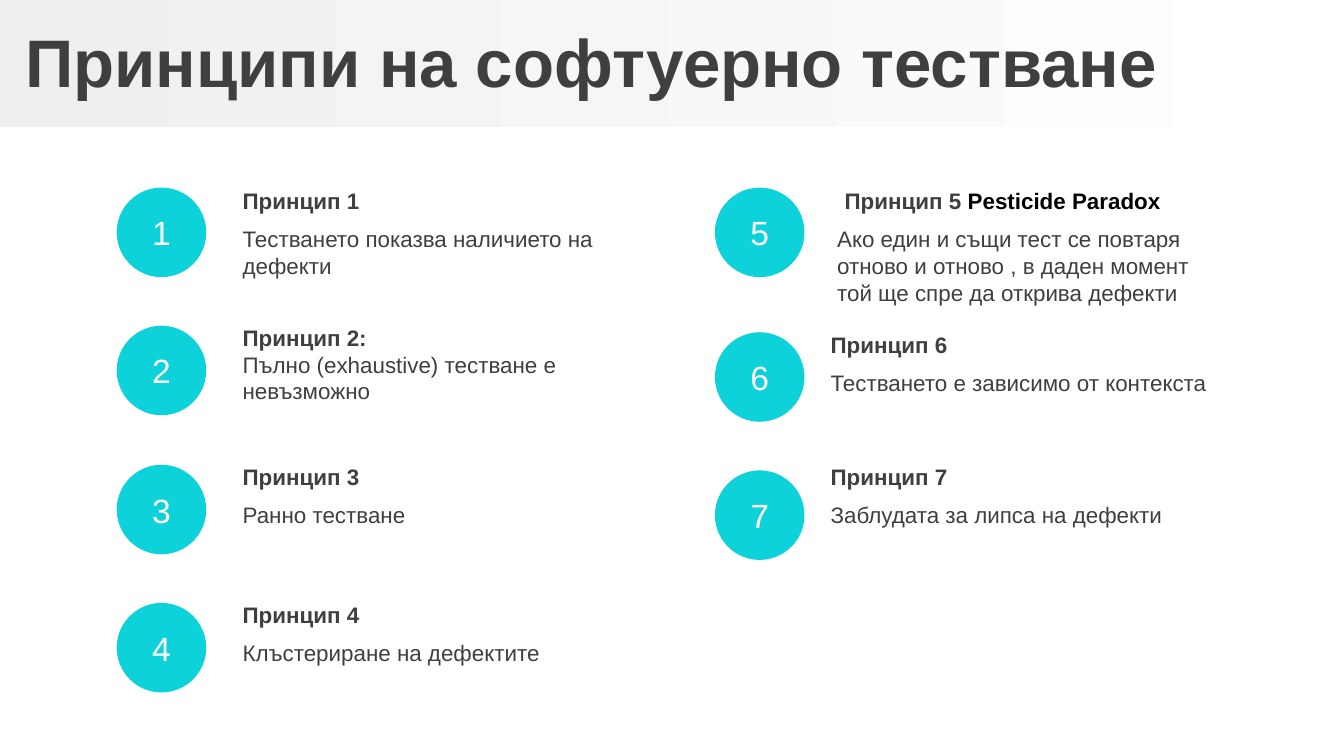
from pptx import Presentation
from pptx.dml.color import RGBColor as RGB
from pptx.enum.shapes import MSO_SHAPE as SHAPE
from pptx.enum.text import MSO_ANCHOR as ANCHOR, PP_ALIGN as ALIGN
from pptx.util import Emu, Pt

PX = 6350
COLORS = {"band": "EFEFEF", "white": "FFFFFF", "text": "3F3F3F",
          "circle": "0DD2D9", "black": "000000"}


def style(tf, size, color, bold=False):
    tf.word_wrap = True
    tf.margin_left = tf.margin_right = tf.margin_top = tf.margin_bottom = Emu(7 * PX)
    for p in tf.paragraphs:
        for r in p.runs:
            r.font.name = "Arial"
            r.font.size = Pt(size)
            r.font.bold = bold
            r.font.color.rgb = RGB.from_string(COLORS[color])


def add_text(x, y, w, h, text, size=12, color="text", bold=False):
    box = s.shapes.add_textbox(x * PX, y * PX, w * PX, h * PX)
    box.text_frame.text = text
    style(box.text_frame, size, color, bold)
    return box.text_frame


prs = Presentation()
prs.slide_width, prs.slide_height = Emu(1440 * PX), Emu(810 * PX)
s = prs.slides.add_slide(prs.slide_layouts[5])

band = s.shapes.add_shape(SHAPE.RECTANGLE, 0, 0, 1434 * PX, 136 * PX)
band.shadow.inherit = False
band.line.fill.background()
band.fill.gradient()
band.fill.gradient_angle = 0
for stop, name in zip(band.fill.gradient_stops, ("band", "white")):
    stop.color.rgb = RGB.from_string(COLORS[name])

title = s.shapes.title
title._element.addprevious(band._element)
title.left, title.top = Emu(0), Emu(4 * PX)
title.width, title.height = Emu(1440 * PX), Emu(122 * PX)
tf = title.text_frame
tf.text = " Принципи на софтуерно тестване"
tf.vertical_anchor = ANCHOR.MIDDLE
tf.paragraphs[0].alignment = ALIGN.LEFT
style(tf, 36, "text", True)

circles = [(125, 201 + 297 * i // 2) for i in range(4)]
circles += [(766, y) for y in (201, 356, 504)]
for number, (x, y) in enumerate(circles, 1):
    sp = s.shapes.add_shape(SHAPE.OVAL, x * PX, y * PX, 96 * PX, 96 * PX)
    sp.shadow.inherit = False
    sp.fill.solid()
    sp.fill.fore_color.rgb = RGB.from_string(COLORS["circle"])
    sp.line.fill.background()
    tf = add_text(x + 21, y + 21, 54, 54, str(number), 18, "white")
    tf.vertical_anchor = ANCHOR.MIDDLE
    tf.paragraphs[0].alignment = ALIGN.CENTER

principles = [
    (253, 193, 69, "Принцип 1", "Тестването показва наличието на дефекти"),
    (253, 489, 42, "Принцип 3", "Ранно тестване"),
    (253, 637, 42, "Принцип 4", "Клъстериране на дефектите"),
    (883, 348, 42, "Принцип 6", "Тестването е зависимо от контекста"),
    (883, 489, 42, "Принцип 7", "Заблудата за липса на дефекти"),
]
for x, y, h, heading, body in principles:
    add_text(x, y + 41, 432, h, body)
    add_text(x, y, 432, 42, heading, bold=True)

tf = add_text(253, 340, 432, 98, "Принцип 2:\nПълно (exhaustive) тестване е невъзможно")
tf.paragraphs[0].runs[0].font.bold = True

add_text(890, 234, 432, 98, "Ако един и същи тест се повтаря отново и отново , "
                            "в даден момент той ще спре да открива дефекти")
tf = add_text(898, 193, 432, 69, "Принцип 5 ", bold=True)
r = tf.paragraphs[0].add_run()
r.text = "Pesticide Paradox"
style(tf, 12, "text", True)
r.font.color.rgb = RGB.from_string(COLORS["black"])

prs.save("out.pptx")
